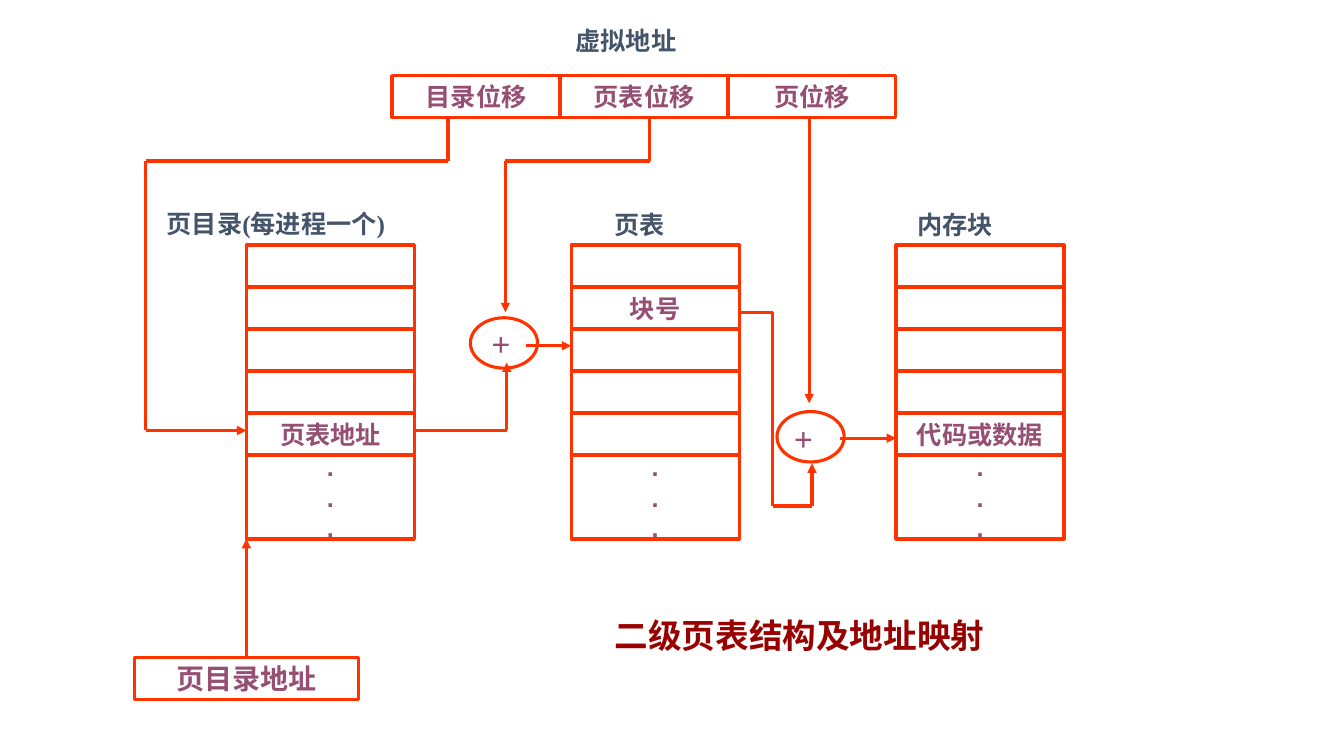
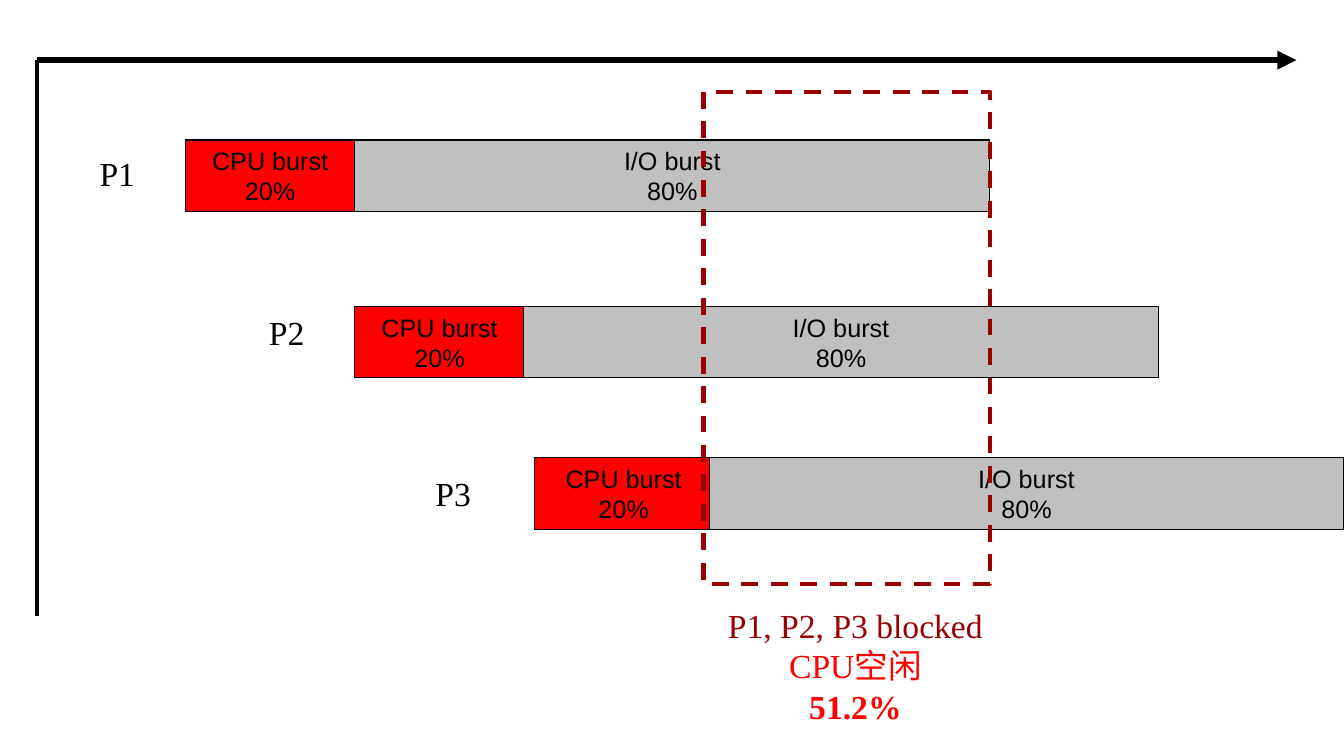
from dataclasses import dataclass
from itertools import pairwise

from lxml import etree
from pptx import Presentation
from pptx.dml.color import RGBColor
from pptx.enum.dml import MSO_LINE
from pptx.enum.shapes import MSO_CONNECTOR, MSO_SHAPE
from pptx.enum.text import MSO_ANCHOR, MSO_AUTO_SIZE, PP_ALIGN
from pptx.oxml.ns import qn
from pptx.util import Pt

RECTANGLE, OVAL = MSO_SHAPE.RECTANGLE, MSO_SHAPE.OVAL
STRAIGHT = MSO_CONNECTOR.STRAIGHT
LEFT, CENTER = PP_ALIGN.LEFT, PP_ALIGN.CENTER
MIDDLE = MSO_ANCHOR.MIDDLE
FIT_SHAPE = MSO_AUTO_SIZE.SHAPE_TO_FIT_TEXT
DASH = MSO_LINE.DASH


@dataclass(frozen=True)
class Theme:
    white: str = "FFFFFF"
    black: str = "000000"
    orange: str = "FF3300"
    plum: str = "954F72"
    slate: str = "44546A"
    maroon: str = "990000"
    red: str = "FF0000"
    grey: str = "C0C0C0"
    sans: str = "Arial"
    serif: str = "Times New Roman"
    body: float = 18
    field: float = 20
    large: float = 24
    hairline: float = 0.75
    rule: float = 2.25
    heavy: float = 3
    axis: float = 4.5


THEME = Theme()


def color(code):
    return RGBColor.from_string(code)


def write(frame, lines, align=CENTER, wrap=False, **style):
    """Fill a frame; a line is a string or a (string, style changes) pair."""
    frame.word_wrap = wrap
    for index, line in enumerate(lines):
        text, changes = (line, {}) if isinstance(line, str) else line
        look = {"size": THEME.body, "font": THEME.sans, "ink": THEME.black,
                "bold": False, **style, **changes}
        para = frame.paragraphs[0] if index == 0 else frame.add_paragraph()
        para.alignment = align
        span = para.add_run()
        span.text = text
        span.font.name = look["font"]
        span.font.size = Pt(look["size"])
        span.font.bold = look["bold"]
        span.font.color.rgb = color(look["ink"])


class Sketch:
    """Holds the deck, its style and the page being drawn."""

    def __init__(self, theme):
        self.theme = theme
        self.deck = Presentation()
        self.deck.slide_width, self.deck.slide_height = Pt(960), Pt(540)
        self.page = None

    def new_page(self):
        self.page = self.deck.slides.add_slide(self.deck.slide_layouts[6])

    def shape(self, left, top, width, height, lines=(), kind=RECTANGLE,
              fill=None, line=None, weight=None, dash=None, **style):
        box = self.page.shapes.add_shape(
            kind, Pt(left), Pt(top), Pt(width), Pt(height))
        box.shadow.inherit = False
        if fill:
            box.fill.solid()
            box.fill.fore_color.rgb = color(fill)
        else:
            box.fill.background()
        box.line.color.rgb = color(line or self.theme.orange)
        box.line.width = Pt(weight or self.theme.rule)
        if dash:
            box.line.dash_style = dash
        box.text_frame.vertical_anchor = MIDDLE
        write(box.text_frame, lines, **style)

    def cell(self, left, top, *lines, width=120, height=30, size=None):
        self.shape(left, top, width, height, lines, fill=self.theme.white,
                   size=size or self.theme.body, ink=self.theme.plum, bold=True)

    def label(self, left, top, width, height, *lines, align=LEFT, **style):
        box = self.page.shapes.add_textbox(
            Pt(left), Pt(top), Pt(width), Pt(height))
        write(box.text_frame, lines, align=align, **style)
        box.text_frame.auto_size = FIT_SHAPE

    def route(self, *points, arrow=True, ink=None, weight=None):
        """Join points by straight lines, with an arrowhead on the last."""
        for start, end in pairwise(points):
            link = self.page.shapes.add_connector(
                STRAIGHT, *(Pt(value) for value in (*start, *end)))
            link.line.color.rgb = color(ink or self.theme.orange)
            link.line.width = Pt(weight or self.theme.rule)
            properties = link.line._get_or_add_ln()
            if arrow and end == points[-1]:
                etree.SubElement(properties, qn("a:tailEnd"), type="triangle")
            etree.SubElement(link._element.spPr, qn("a:effectLst"))

    def memory_table(self, left, entry_row=None, entry=None):
        top, row_height, rows = 175, 30, 5
        for row in range(rows):
            lines = [entry] if row == entry_row else []
            self.cell(left, top + row * row_height, *lines)
        self.cell(left, top + rows * row_height, ".", ".", ".", height=60)

    def adder(self, left, top, plus_left, plus_top):
        self.label(plus_left, plus_top, 28, 36, "+", font=self.theme.serif,
                   size=self.theme.large, ink=self.theme.plum, bold=True)
        self.shape(left, top, 48, 36, kind=OVAL)

    def burst(self, left, top, width, fill, name, share):
        self.shape(left, top, width, 51, [name, share], fill=fill,
                   line=self.theme.black, weight=self.theme.hairline)


def draw_page_mapping(sketch):
    theme = sketch.theme
    sketch.new_page()
    sketch.cell(96, 469.5, "页目录地址", width=160, size=theme.field)
    for index, name in enumerate(["目录位移", "页表位移", "页位移"]):
        sketch.cell(280 + index * 120, 54, name)

    directory, page_table, memory = 176, 408, 640
    sketch.memory_table(directory, 4, "页表地址")
    sketch.memory_table(page_table, 1, "块号")
    sketch.memory_table(memory, 4, "代码或数据")

    heading = {"ink": theme.slate, "bold": True}
    sketch.label(404, 14.5, 88, 29, "虚拟地址", font=theme.serif, **heading)
    sketch.label(112, 145, 173, 29, "页目录(每进程一个)", font=theme.serif,
                 wrap=True, **heading)
    sketch.label(432, 146, 51, 29, "页表", **heading)
    sketch.label(648, 146, 69, 29, "内存块", **heading)
    sketch.label(432, 435.5, 282, 36, "二级页表结构及地址映射",
                 font=theme.serif, size=theme.large, ink=theme.maroon, bold=True)

    sketch.route((320, 85), (320, 115), (104, 115), (104, 307.5),
                 (directory, 307.5))
    sketch.route((directory, 469.5), (directory, 385))
    sketch.route((464, 85), (464, 115), (361, 115), (361, 223))
    sketch.route((296, 307.5), (362, 307.5), (362, 259))
    sketch.route((376, 247), (page_table, 247))
    sketch.route((528, 223), (552, 223), (552, 361.5), (580, 361.5),
                 (580, 331))
    sketch.route((578, 84), (578, 288))
    sketch.route((600, 313), (memory, 313))
    sketch.adder(336, 227, 344, 227)
    sketch.adder(555, 294, 560, 295)


def draw_burst_timeline(sketch):
    theme = sketch.theme
    sketch.new_page()
    bursts = [(132.5, 253.5, 100, 121), (253.5, 374, 219, 121),
              (381.5, 506.5, 327, 128)]
    for cpu_left, io_left, top, cpu_width in bursts:
        sketch.burst(cpu_left, top, cpu_width, theme.red, "CPU burst", "20%")
        sketch.burst(io_left, top, 453.5, theme.grey, "I/O burst", "80%")
    sketch.shape(502.5, 65.5, 204.5, 351.5, line=theme.maroon,
                 weight=theme.heavy, dash=DASH)

    large = {"font": theme.serif, "size": theme.large}
    sketch.label(512, 428.5, 198, 94.5,
                 ("P1, P2, P3 blocked", {"ink": theme.maroon}),
                 "CPU空闲", ("51.2%", {"bold": True}),
                 align=CENTER, ink=theme.red, **large)
    for name, left, top in [("P1", 64, 106), ("P2", 185, 219),
                            ("P3", 304, 334)]:
        sketch.label(left, top, 40, 36, name, **large)

    origin = (26.5, 43)
    sketch.route(origin, (926, 43), ink=theme.black, weight=theme.axis)
    sketch.route(origin, (26.5, 440), arrow=False, ink=theme.black,
                 weight=theme.heavy)


def main():
    sketch = Sketch(THEME)
    draw_page_mapping(sketch)
    draw_burst_timeline(sketch)
    sketch.deck.save("out.pptx")


if __name__ == "__main__":
    main()
